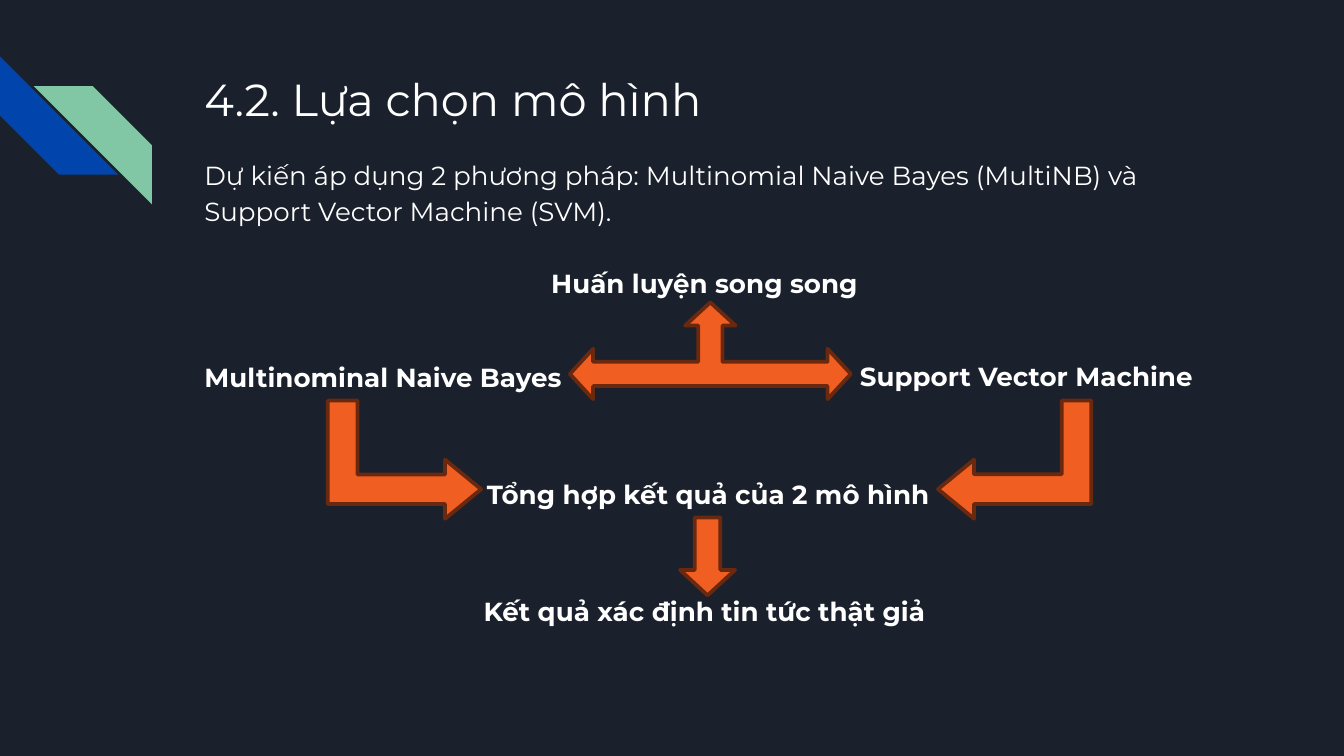
from dataclasses import dataclass

from lxml.etree import SubElement
from pptx import Presentation
from pptx.dml.color import RGBColor
from pptx.enum.shapes import MSO_SHAPE as Shape
from pptx.enum.text import MSO_ANCHOR as Anchor, MSO_AUTO_SIZE as AutoSize, PP_ALIGN as Align
from pptx.oxml.ns import qn
from pptx.util import Inches, Pt

COLORS = {
    "background": "1B212C",
    "text": "FFFFFF",
    "blue": "0145AC",
    "green": "82C7A5",
    "orange": "F15E22",
    "brown": "6A290F",
}
FONT = "Montserrat"

Box = tuple[float, float, float, float]


@dataclass
class Figure:
    kind: Shape
    box: Box
    adjustments: tuple[float, ...]
    fill: str = "orange"
    outline: str | None = "brown"
    rotation: int = 0
    flips: tuple[str, ...] = ()


@dataclass
class Line:
    text: str
    gap: float = 0
    align: Align = Align.CENTER
    bold: bool = True


BENT_ADJUSTMENTS = (0.25, 0.25, 0.305)
FIGURES = [
    # Corner stripes
    Figure(Shape.DIAGONAL_STRIPE, (0, 0.42, 0.88, 0.88), (0.5,), "blue", None, 270),
    Figure(Shape.DIAGONAL_STRIPE, (0.25, 0.64, 0.88, 0.88), (0.5,), "green", None,
           flips=("flipH",)),
    # Flow arrows
    Figure(Shape.LEFT_RIGHT_UP_ARROW, (4.24, 2.25, 2.09, 0.72), (0.25, 0.26, 0.302)),
    Figure(Shape.BENT_UP_ARROW, (7.11, 2.85, 0.88, 1.14), BENT_ADJUSTMENTS,
           rotation=270, flips=("flipH",)),
    Figure(Shape.BENT_UP_ARROW, (2.57, 2.85, 0.88, 1.14), BENT_ADJUSTMENTS,
           rotation=270, flips=("flipH", "flipV")),
    Figure(Shape.DOWN_ARROW, (5.06, 3.85, 0.41, 0.58), (0.464, 0.462)),
]

BODY_LINES = [
    Line("Dự kiến áp dụng 2 phương pháp: Multinomial Naive Bayes (MultiNB) và "
         "Support Vector Machine (SVM).", align=Align.LEFT, bold=False),
    Line("Huấn luyện song song ", 19.6),
    Line("Multinominal Naive Bayes", 31, Align.LEFT),
    Line("Tổng hợp kết quả của 2 mô hình", 43.1),
    Line("Kết quả xác định tin tức thật giả ", 43.6),
]
RIGHT_LABEL = Line("Support Vector Machine", align=Align.LEFT)


def color(name: str) -> RGBColor:
    return RGBColor.from_string(COLORS[name])


def draw_figure(page, figure: Figure) -> None:
    shape = page.shapes.add_shape(figure.kind, *map(Inches, figure.box))
    for index, value in enumerate(figure.adjustments):
        shape.adjustments[index] = value
    shape.rotation = figure.rotation
    properties = shape.element.spPr
    for flip in figure.flips:
        properties.find(qn("a:xfrm")).set(flip, "1")
    shape.fill.solid()
    shape.fill.fore_color.rgb = color(figure.fill)
    if figure.outline:
        shape.line.color.rgb = color(figure.outline)
        shape.line.width = Pt(2)
        SubElement(properties.find(qn("a:ln")), qn("a:round"))
    else:
        shape.line.fill.background()
    shape.shadow.inherit = False


def prepare_frame(holder, box: Box):
    holder.left, holder.top, holder.width, holder.height = map(Inches, box)
    frame = holder.text_frame
    frame.margin_left = frame.margin_right = Inches(0.1)
    frame.margin_top = frame.margin_bottom = Inches(0.1)
    frame.vertical_anchor = Anchor.TOP
    frame.auto_size = AutoSize.NONE
    frame.word_wrap = True
    return frame


def add_span(para, text: str, size: int, bold: bool = False) -> None:
    span = para.add_run()
    span.text = text
    span.font.name = FONT
    span.font.size = Pt(size)
    span.font.bold = bold
    span.font.color.rgb = color("text")


def write_lines(frame, lines: list[Line]) -> None:
    for index, line in enumerate(lines):
        para = frame.add_paragraph() if index else frame.paragraphs[0]
        para.alignment = line.align
        para.line_spacing = 1.15
        para.space_before = Pt(line.gap)
        add_span(para, line.text, 14, line.bold)
        # No bullet or indent
        properties = para._p.get_or_add_pPr()
        properties.set("marL", "0")
        properties.set("indent", "0")
        SubElement(properties, qn("a:buNone"))


def main() -> None:
    deck = Presentation()
    deck.slide_width = Inches(10)
    deck.slide_height = deck.slide_width * 9 // 16
    page = deck.slides.add_slide(deck.slide_layouts[1])
    page.background.fill.solid()
    page.background.fill.fore_color.rgb = color("background")

    # Title
    title = prepare_frame(page.shapes.title, (1.42, 0.43, 7.7, 1)).paragraphs[0]
    title.alignment = Align.LEFT
    add_span(title, "4.2. Lựa chọn mô hình", 24)

    # Introduction and flow labels
    write_lines(prepare_frame(page.placeholders[1], (1.42, 1.05, 7.7, 3.85)), BODY_LINES)
    label_box = page.shapes.add_textbox(0, 0, 0, 0)
    write_lines(prepare_frame(label_box, (6.3, 2.55, 2.82, 0.5)), [RIGHT_LABEL])

    for figure in FIGURES:
        draw_figure(page, figure)

    deck.save("out.pptx")


if __name__ == "__main__":
    main()
